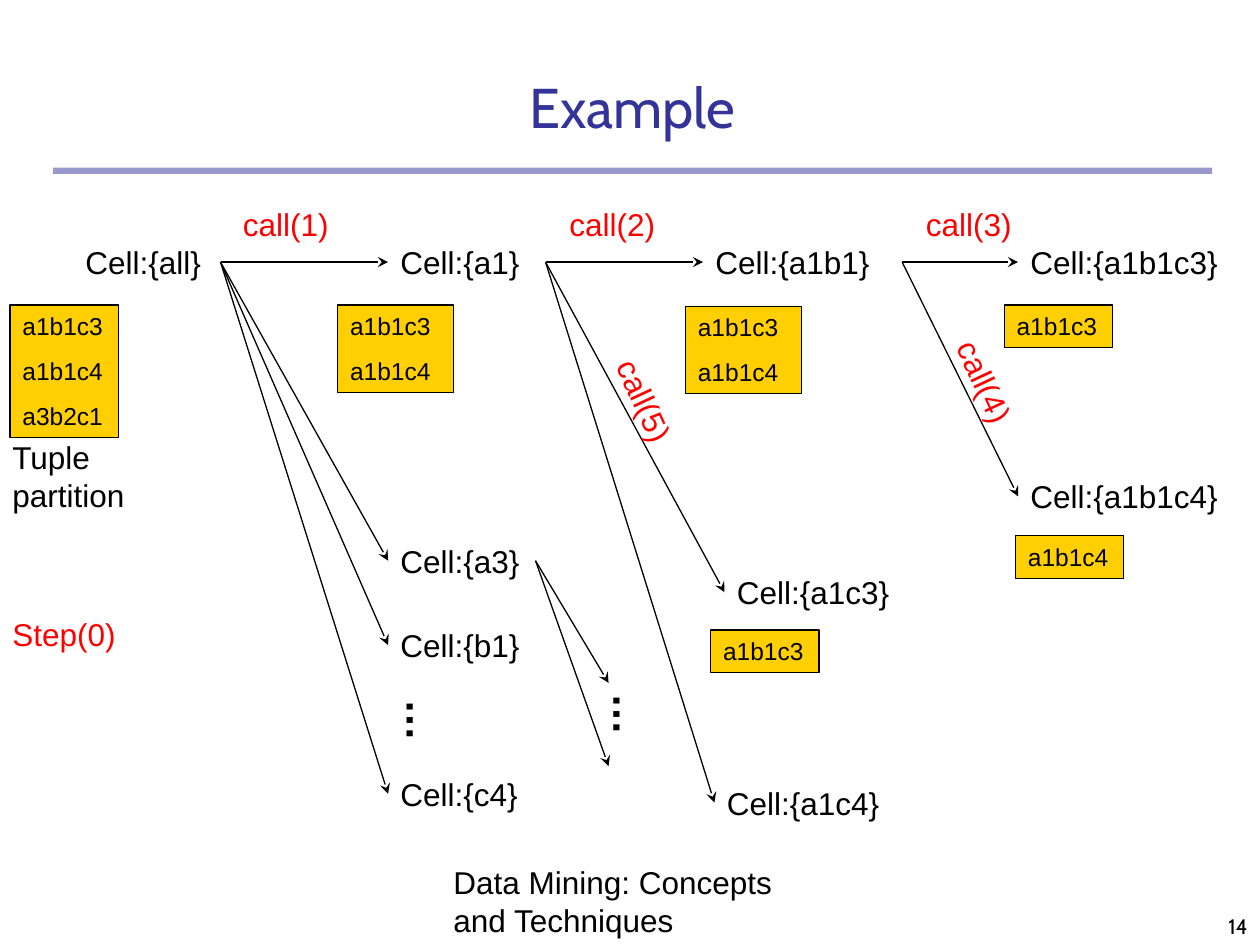
from dataclasses import dataclass

from lxml import etree
from pptx import Presentation
from pptx.dml.color import RGBColor
from pptx.enum.shapes import MSO_CONNECTOR as Connector, MSO_SHAPE as Preset
from pptx.enum.text import MSO_ANCHOR as Anchor, PP_ALIGN as Align
from pptx.oxml.ns import qn
from pptx.util import Inches, Pt

COLORS = {"title": "333399", "text": "000000", "call": "FF0000",
          "tuple": "FFCF01", "line": "000000"}
ROW_HEIGHT = 0.4
RIGHT_SIDE, LEFT_SIDE = 3, 1


@dataclass
class Label:
    text: str
    left: float
    top: float
    width: float
    height: float = ROW_HEIGHT
    color: str = "text"
    size: float = 18
    font: str = "Arial"
    bold: bool = False
    rotation: float = 0
    align: Align = Align.LEFT
    anchor: Anchor = Anchor.TOP


@dataclass
class Partition:
    tuples: list[str]
    left: float
    top: float
    width: float = 0.86


def rgb(name: str) -> RGBColor:
    return RGBColor.from_string(COLORS[name])


def write(shape, text: str, label: Label) -> None:
    frame = shape.text_frame
    frame.text = text
    frame.word_wrap = True
    frame.vertical_anchor = label.anchor
    for index, paragraph in enumerate(frame.paragraphs):
        paragraph.alignment = label.align
        if index:
            paragraph.space_before = Pt(8.8)
        for run in paragraph.runs:
            run.font.name = label.font
            run.font.size = Pt(label.size)
            run.font.bold = label.bold
            run.font.color.rgb = rgb(label.color)


def add_label(slide, label: Label):
    box = slide.shapes.add_textbox(Inches(label.left), Inches(label.top),
                                   Inches(label.width), Inches(label.height))
    box.rotation = label.rotation
    write(box, label.text, label)
    return box


def add_partition(slide, part: Partition) -> None:
    height = 0.34 + 0.355 * (len(part.tuples) - 1)
    box = slide.shapes.add_shape(Preset.RECTANGLE, Inches(part.left), Inches(part.top),
                                 Inches(part.width), Inches(height))
    box.shadow.inherit = False
    box.fill.solid()
    box.fill.fore_color.rgb = rgb("tuple")
    box.line.color.rgb = rgb("line")
    box.line.width = Pt(0.75)
    write(box, "\n".join(part.tuples),
          Label("", part.left, part.top, part.width, height, size=14))


def add_arrow(slide, source, target=None, end: tuple[float, float] = (0, 0)) -> None:
    """Run from the source's right side to the target's left side or a free point."""
    arrow = slide.shapes.add_connector(Connector.STRAIGHT, 0, 0,
                                       Inches(end[0]), Inches(end[1]))
    arrow.begin_connect(source, RIGHT_SIDE)
    if target is not None:
        arrow.end_connect(target, LEFT_SIDE)
    arrow.line.color.rgb = rgb("line")
    arrow.line.width = Pt(0.75)
    etree.SubElement(arrow.line._get_or_add_ln(), qn("a:tailEnd"), type="stealth")
    etree.SubElement(arrow._element.spPr, qn("a:effectLst"))


def add_title_rule(slide) -> None:
    rule = slide.shapes.add_shape(Preset.RECTANGLE, Inches(0.42), Inches(1.33),
                                  Inches(9.2), Inches(0.05))
    rule.shadow.inherit = False
    rule.fill.solid()
    rule.fill.fore_color.rgb = rgb("title")
    rule.line.fill.background()
    color = rule._element.spPr.find(qn("a:solidFill"))[0]
    etree.SubElement(color, qn("a:alpha"), val="50000")


# Cells of the computation tree: left, top, width
CELLS = {
    "all": (0.58, 1.88, 1.17),
    "a1": (3.08, 1.88, 1.25),
    "a3": (3.08, 4.25, 1.17),
    "b1": (3.08, 4.92, 1.25),
    "c4": (3.08, 6.1, 1.25),
    "a1b1": (5.58, 1.88, 1.58),
    "a1c3": (5.75, 4.5, 1.58),
    "a1c4": (5.67, 6.17, 1.58),
    "a1b1c3": (8.08, 1.88, 1.75),
    "a1b1c4": (8.08, 3.74, 1.75),
}
CHILDREN = {
    "all": ["a1", "a3", "b1", "c4"],
    "a1": ["a1b1", "a1c3", "a1c4"],
    "a1b1": ["a1b1c3", "a1b1c4"],
}
OPEN_ENDS = [(4.83, 5.42), (4.83, 6.08)]

PARTITIONS = [
    Partition(["a1b1c3", "a1b1c4", "a3b2c1"], 0.08, 2.42),
    Partition(["a1b1c3", "a1b1c4"], 2.68, 2.42, 0.92),
    Partition(["a1b1c3", "a1b1c4"], 5.44, 2.43, 0.92),
    Partition(["a1b1c3"], 7.97, 2.42),
    Partition(["a1b1c4"], 8.06, 4.25),
    Partition(["a1b1c3"], 5.64, 5),
]

# Calls in order: left, top, rotation
CALLS = [(1.83, 1.58, 0), (4.42, 1.58, 0), (7.25, 1.58, 0),
         (7.32, 2.92, 65), (4.62, 3.07, 65)]
ELLIPSES = [(3.11, 5.45), (4.75, 5.41)]

NOTES = [
    Label("Example", 0.62, 0.59, 8.8, 0.57, "title", 32, "Cabin",
          align=Align.CENTER, anchor=Anchor.BOTTOM),
    Label("Step(0)", 0, 4.83, 1.08, color="call"),
    Label("Tuple partition", 0, 3.43, 1.13, 0.7),
    Label("Data Mining: Concepts and Techniques", 3.5, 6.92, 3.17, 0.58,
          anchor=Anchor.BOTTOM),
    Label("14", 7.92, 7, 2.08, 0.5, size=12, font="Cabin",
          align=Align.RIGHT, anchor=Anchor.BOTTOM),
]


def main() -> None:
    prs = Presentation()
    prs.slide_width, prs.slide_height = Inches(10), Inches(7.5)
    slide = prs.slides.add_slide(prs.slide_layouts[6])

    # Title, side notes and footer
    add_title_rule(slide)
    for note in NOTES:
        add_label(slide, note)

    # Tuple partitions
    for part in PARTITIONS:
        add_partition(slide, part)

    # Cells and the arrows between them
    cells = {name: add_label(slide, Label(f"Cell:{{{name}}}", *place))
             for name, place in CELLS.items()}
    for parent, children in CHILDREN.items():
        for child in children:
            add_arrow(slide, cells[parent], cells[child])
    for end in OPEN_ENDS:
        add_arrow(slide, cells["a3"], end=end)

    # Call numbers and omitted branches
    for number, (left, top, rotation) in enumerate(CALLS, start=1):
        add_label(slide, Label(f"call({number})", left, top, 1.08,
                               color="call", rotation=rotation))
    for left, top in ELLIPSES:
        add_label(slide, Label("…", left, top, 0.5, 0.5, size=24,
                               bold=True, rotation=90))

    prs.save("out.pptx")


if __name__ == "__main__":
    main()
